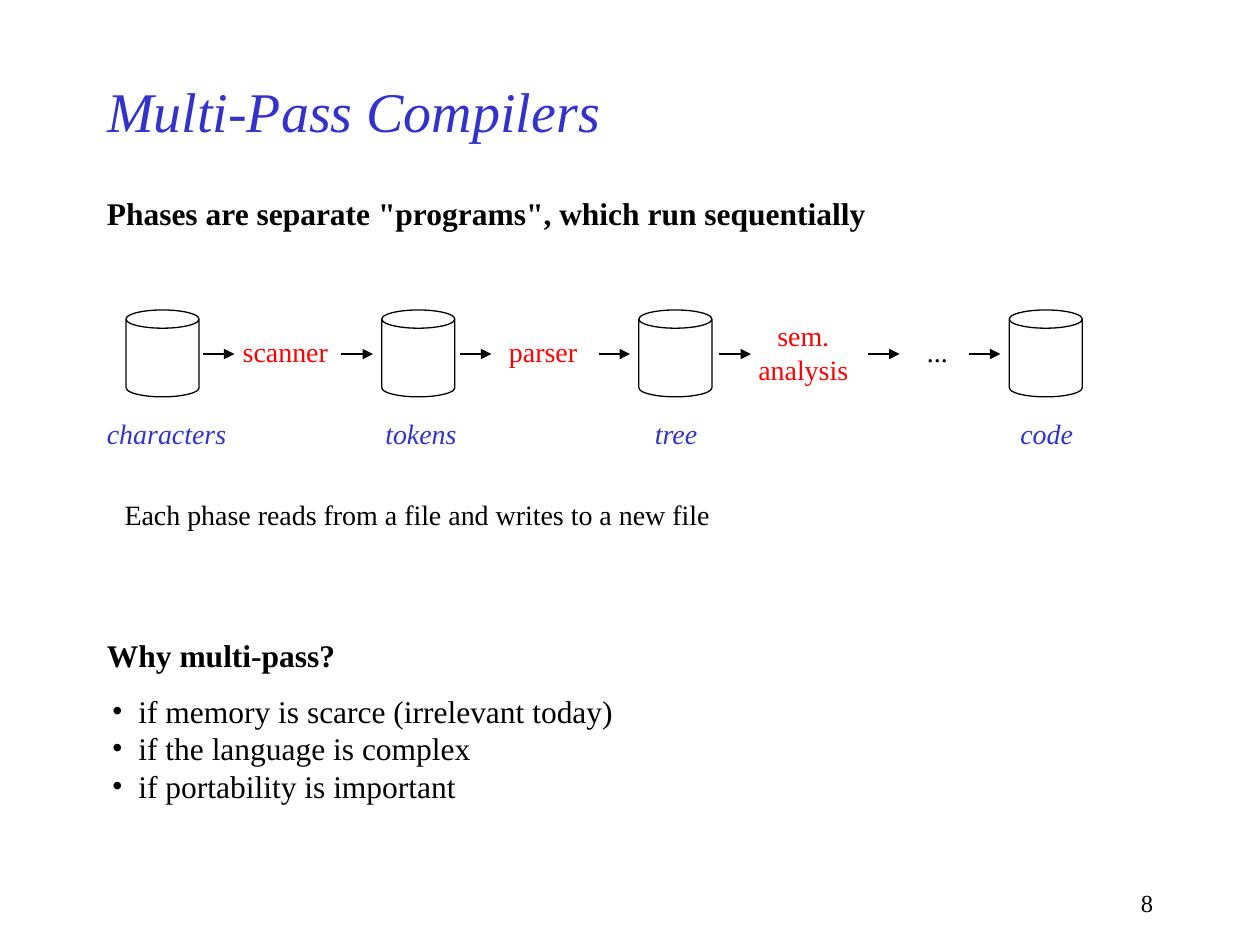
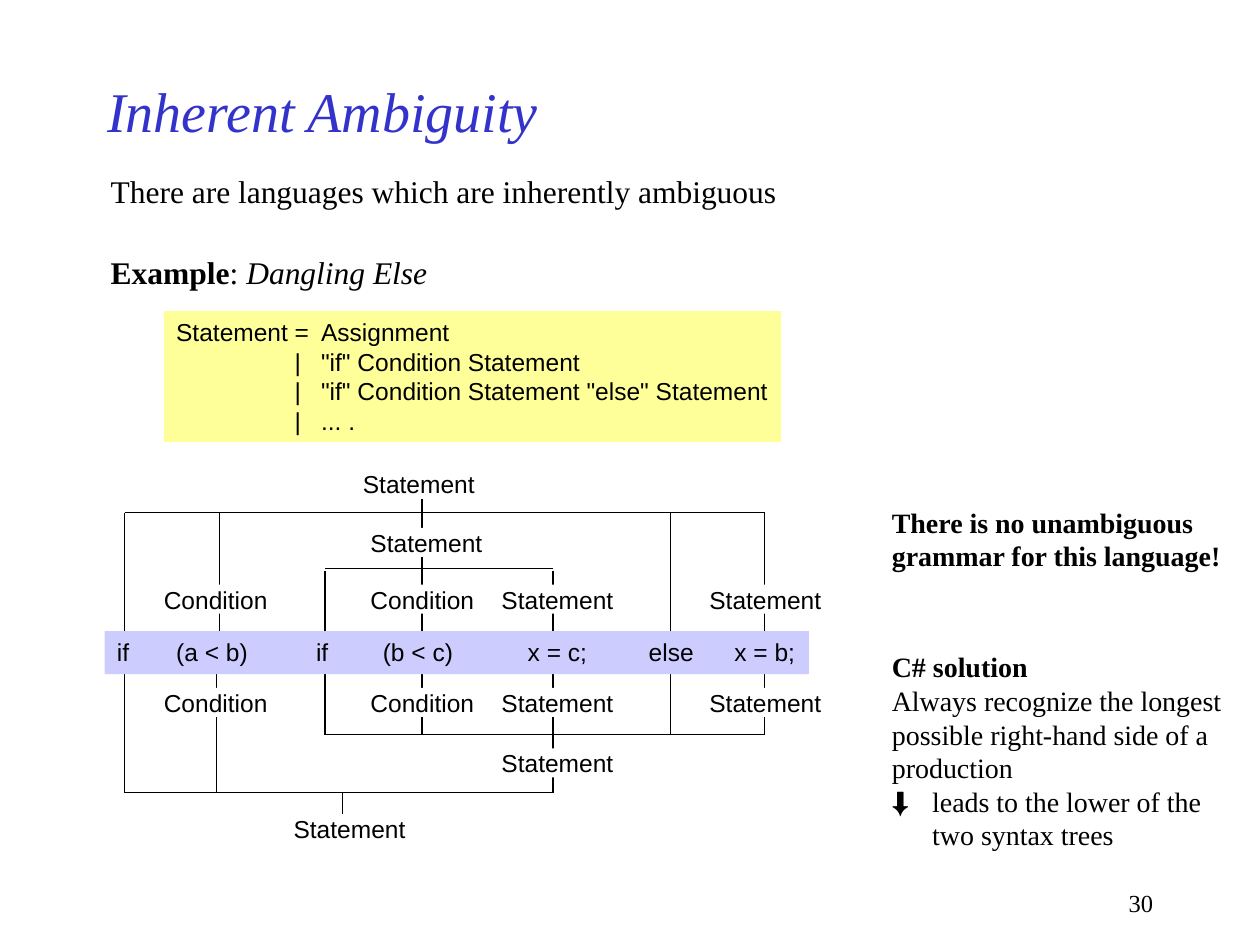
"""Build two compiler-construction slides: multi-pass compilers and inherent ambiguity."""
from dataclasses import dataclass
from typing import NamedTuple

from lxml import etree
from pptx import Presentation
from pptx import util as u
from pptx.dml import color
from pptx.enum import shapes, text
from pptx.oxml import ns

COLORS = {
    "ink": "000000", "blue": "3333CC", "red": "FF0000", "paper": "FFFFFF",
    "grammar": "FFFF99", "tokens": "CCCCFF",
}
SERIF, SANS, SYMBOL = "Times New Roman", "Arial", "Lato"
LINE_WIDTH = u.Pt(0.75)
ARROW_LENGTH, ARROW_Y = 0.25, 2.81
BAND_TOP, BAND_BOTTOM = 5.01, 5.35


class Run(NamedTuple):
    """A stretch of text with its own emphasis."""
    text: str
    bold: bool = False
    italic: bool = False
    font: str = SERIF


@dataclass(frozen=True)
class DataFile:
    """A file between two compiler phases."""
    label: str
    can_left: float
    label_left: float
    label_width: float


@dataclass(frozen=True)
class Phase:
    """A compiler phase and its text box."""
    label: str
    left: float
    top: float
    width: float
    height: float = 0.37
    color: str = "red"


@dataclass(frozen=True)
class Node:
    """A nonterminal in a syntax tree."""
    label: str
    left: float
    top: float


@dataclass(frozen=True)
class Bar:
    """A horizontal branch of a syntax tree."""
    left: float
    right: float
    y: float


@dataclass(frozen=True)
class SyntaxTree:
    """A tree whose stems start at the token band and end at the given heights."""
    band_edge: float
    stem_ends: dict[float, float]
    bars: list[Bar]
    leaf_top: float
    inner_nodes: list[Node]


FILES = [
    DataFile("characters", 1, 0.75, 1.15),
    DataFile("tokens", 3.03, 2.96, 0.76),
    DataFile("tree", 5.07, 5.1, 0.54),
    DataFile("code", 8.01, 8, 0.62),
]
PHASES = [
    Phase("scanner", 1.83, 2.61, 0.87),
    Phase("parser", 3.94, 2.61, 0.74),
    Phase("sem.\nanalysis", 5.92, 2.48, 0.91, 0.64),
    Phase("...", 7.26, 2.61, 0.36, color="ink"),
]
ARROW_STARTS = [1.61, 2.71, 3.65, 4.75, 5.71, 6.89, 7.69]
LEAVES = {1.3: "Condition", 2.94: "Condition", 3.98: "Statement", 5.63: "Statement"}
NODE_WIDTHS = {"Condition": 0.85, "Statement": 0.91}
TREES = [
    SyntaxTree(
        BAND_BOTTOM,
        {0.99: 6.29, 1.72: 6.29, 2.58: 5.83, 3.35: 5.83, 4.39: 6.29, 5.32: 5.83, 6.07: 5.83},
        [Bar(2.58, 6.07, 5.83), Bar(0.99, 4.39, 6.29)],
        5.46,
        [Node("Statement", 3.98, 5.94), Node("Statement", 2.33, 6.46)],
    ),
    SyntaxTree(
        BAND_TOP,
        {0.99: 4.07, 1.74: 4.07, 2.58: 4.53, 3.35: 3.96, 4.39: 4.53, 5.32: 4.07, 6.07: 4.07},
        [Bar(2.58, 4.39, 4.51), Bar(0.99, 6.07, 4.07)],
        4.64,
        [Node("Statement", 2.94, 4.19), Node("Statement", 2.88, 3.72)],
    ),
]


def rgb(name: str) -> color.RGBColor:
    """Return a palette colour."""
    return color.RGBColor.from_string(COLORS[name])


def add_bullet(paragraph, indent: float) -> None:
    """Give a paragraph a hanging round bullet."""
    properties = paragraph._p.get_or_add_pPr()
    properties.set("marL", str(u.Inches(indent)))
    properties.set("indent", str(-u.Inches(indent)))
    etree.SubElement(properties, ns.qn("a:buFont"), typeface=SERIF)
    etree.SubElement(properties, ns.qn("a:buChar"), char="•")


def add_tabs(paragraph, stops: list[float]) -> None:
    """Give a paragraph left tab stops."""
    tab_list = etree.SubElement(paragraph._p.get_or_add_pPr(), ns.qn("a:tabLst"))
    for stop in stops:
        etree.SubElement(tab_list, ns.qn("a:tab"), pos=str(u.Inches(stop)), algn="l")


def write_text(shape, paragraphs, *, size: float = 16, font: str = SERIF, ink: str = "ink",
               bold: bool = False, italic: bool = False, align=text.PP_ALIGN.LEFT,
               anchor=text.MSO_ANCHOR.TOP, wrap: bool = False, inset: bool = True,
               tabs: list[float] | None = None, bullet_indent: float = 0) -> None:
    """Fill a shape with lines or runs, insetting only the side the text is aligned to."""
    frame = shape.text_frame
    frame.word_wrap = wrap
    frame.auto_size = text.MSO_AUTO_SIZE.NONE
    frame.vertical_anchor = anchor
    frame.margin_left = u.Inches(0.1 if inset and align == text.PP_ALIGN.LEFT else 0)
    frame.margin_right = u.Inches(0.1 if inset and align == text.PP_ALIGN.RIGHT else 0)
    frame.margin_top = frame.margin_bottom = u.Inches(0.05 if inset else 0)
    if isinstance(paragraphs, str):
        paragraphs = [[Run(line, bold, italic, font)] for line in paragraphs.split("\n")]
    for index, runs in enumerate(paragraphs):
        paragraph = frame.add_paragraph() if index else frame.paragraphs[0]
        paragraph.alignment = align
        if bullet_indent:
            add_bullet(paragraph, bullet_indent)
        if tabs:
            add_tabs(paragraph, tabs)
        for part in runs:
            for line_number, line in enumerate(part.text.split("\n")):
                if line_number:
                    paragraph.add_line_break()
                if not line:
                    continue
                run = paragraph.add_run()
                run.text = line
                run.font.size = u.Pt(size)
                run.font.name = part.font
                run.font.bold = part.bold
                run.font.italic = part.italic
                run.font.color.rgb = rgb(ink)


def add_text(slide, paragraphs, left: float, top: float, width: float, height: float,
             **text_format) -> None:
    """Add a text box."""
    box = slide.shapes.add_textbox(*map(u.Inches, (left, top, width, height)))
    write_text(box, paragraphs, wrap=True, **text_format)


def add_panel(slide, paragraphs, left: float, top: float, width: float, height: float,
              fill: str, **text_format) -> None:
    """Add a borderless filled rectangle with sans-serif text."""
    panel = slide.shapes.add_shape(shapes.MSO_SHAPE.RECTANGLE,
                                   *map(u.Inches, (left, top, width, height)))
    panel.shadow.inherit = False
    panel.fill.solid()
    panel.fill.fore_color.rgb = rgb(fill)
    panel.line.fill.background()
    write_text(panel, paragraphs, size=14, font=SANS, wrap=True, **text_format)


def add_line(slide, x1: float, y1: float, x2: float, y2: float, arrow: bool = False) -> None:
    """Add a thin line, optionally with an arrowhead at its end."""
    line = slide.shapes.add_connector(shapes.MSO_CONNECTOR.STRAIGHT,
                                      *map(u.Inches, (x1, y1, x2, y2)))
    line.line.color.rgb = rgb("ink")
    line.line.width = LINE_WIDTH
    if arrow:
        etree.SubElement(line.line._get_or_add_ln(), ns.qn("a:tailEnd"), type="triangle")
    etree.SubElement(line._element.spPr, ns.qn("a:effectLst"))


def add_can(slide, left: float) -> None:
    """Add an unfilled cylinder that stands for a file."""
    can = slide.shapes.add_shape(shapes.MSO_SHAPE.CAN,
                                 *map(u.Inches, (left, 2.46, 0.58, 0.69)))
    can.adjustments[0] = 0.25
    can.shadow.inherit = False
    can.fill.background()
    can.line.color.rgb = rgb("ink")
    can.line.width = LINE_WIDTH


def add_node(slide, node: Node) -> None:
    """Add a nonterminal that covers the lines behind it."""
    add_panel(slide, node.label, node.left, node.top, NODE_WIDTHS[node.label], 0.23,
              "paper", inset=False)


def add_tree(slide, tree: SyntaxTree) -> None:
    """Draw the branches of a syntax tree, then its nodes."""
    for x, end in tree.stem_ends.items():
        add_line(slide, x, tree.band_edge, x, end)
    for bar in tree.bars:
        add_line(slide, bar.left, bar.y, bar.right, bar.y)
    for left, label in LEAVES.items():
        add_node(slide, Node(label, left, tree.leaf_top))
    for node in tree.inner_nodes:
        add_node(slide, node)


def add_slide(presentation, title: str, number: int):
    """Add a slide with the shared title style and page number."""
    slide = presentation.slides.add_slide(presentation.slide_layouts[5])
    heading = slide.shapes.title
    heading.left, heading.top, heading.width, heading.height = map(
        u.Inches, (0.75, 0.5, 7.5, 0.75))
    write_text(heading, title, size=32, ink="blue", italic=True, wrap=True,
               anchor=text.MSO_ANCHOR.MIDDLE)
    add_text(slide, str(number), 7.17, 7, 2.08, 0.33, size=14, align=text.PP_ALIGN.RIGHT)
    return slide


def build_multi_pass(presentation) -> None:
    """Build the slide about compilers that run in several passes."""
    slide = add_slide(presentation, "Multi-Pass Compilers", 8)
    add_text(slide, 'Phases are separate "programs", which run sequentially',
             0.75, 1.49, 6.23, 0.4, size=18, bold=True)
    for file in FILES:
        add_can(slide, file.can_left)
        add_text(slide, file.label, file.label_left, 3.26, file.label_width, 0.37,
                 ink="blue", italic=True)
    for phase in PHASES:
        add_text(slide, phase.label, phase.left, phase.top, phase.width, phase.height,
                 ink=phase.color, align=text.PP_ALIGN.CENTER)
    for start in ARROW_STARTS:
        add_line(slide, start, ARROW_Y, start + ARROW_LENGTH, ARROW_Y, arrow=True)
    add_text(slide, "Each phase reads from a file and writes to a new file",
             0.89, 3.9, 4.84, 0.37)
    add_text(slide, "Why multi-pass?", 0.75, 5, 2.01, 0.4, size=18, bold=True)
    add_text(slide, "if memory is scarce (irrelevant today)\nif the language is complex\n"
             "if portability is important", 0.79, 5.44, 4.18, 1, size=18, bullet_indent=0.21)


def build_ambiguity(presentation) -> None:
    """Build the slide about the dangling else."""
    slide = add_slide(presentation, "Inherent Ambiguity", 30)
    add_text(slide, "There are languages which are inherently ambiguous",
             0.78, 1.32, 5.49, 0.4, size=18)
    add_text(slide, [[Run("Example", bold=True), Run(": "), Run("Dangling Else", italic=True)]],
             0.78, 1.96, 2.71, 0.4, size=18)
    add_panel(slide, 'Statement\t=\tAssignment\n\t|\t"if" Condition Statement\n'
              '\t|\t"if" Condition Statement "else" Statement\n\t|\t... .',
              1.3, 2.47, 4.9, 1.04, "grammar", tabs=[0.94, 1.15])
    for tree in TREES:
        add_tree(slide, tree)
    add_line(slide, 2.72, 6.29, 2.72, 6.46)
    add_panel(slide, "if\t(a < b)\tif\t(b < c)\tx = c;\telse\tx = b;",
              0.83, BAND_TOP, 5.59, BAND_BOTTOM - BAND_TOP, "tokens",
              tabs=[0.47, 1.58, 2.11, 3.26, 4.22, 4.9])
    add_text(slide, "There is no unambiguous\ngrammar for this language!",
             6.98, 3.96, 2.81, 0.64, bold=True)
    add_text(slide, [
        [Run("C# solution\n", bold=True), Run("Always recognize the longest")],
        [Run("possible right-hand side of a")],
        [Run("production")],
        [Run("⬇\t", font=SYMBOL), Run("leads to the lower of the\n\ttwo syntax trees")],
    ], 6.98, 5.11, 2.81, 1.7, tabs=[0.32])


def main() -> None:
    """Build and save the presentation."""
    presentation = Presentation()
    presentation.slide_width, presentation.slide_height = u.Inches(10), u.Inches(7.5)
    build_multi_pass(presentation)
    build_ambiguity(presentation)
    presentation.save("out.pptx")


if __name__ == "__main__":
    main()
